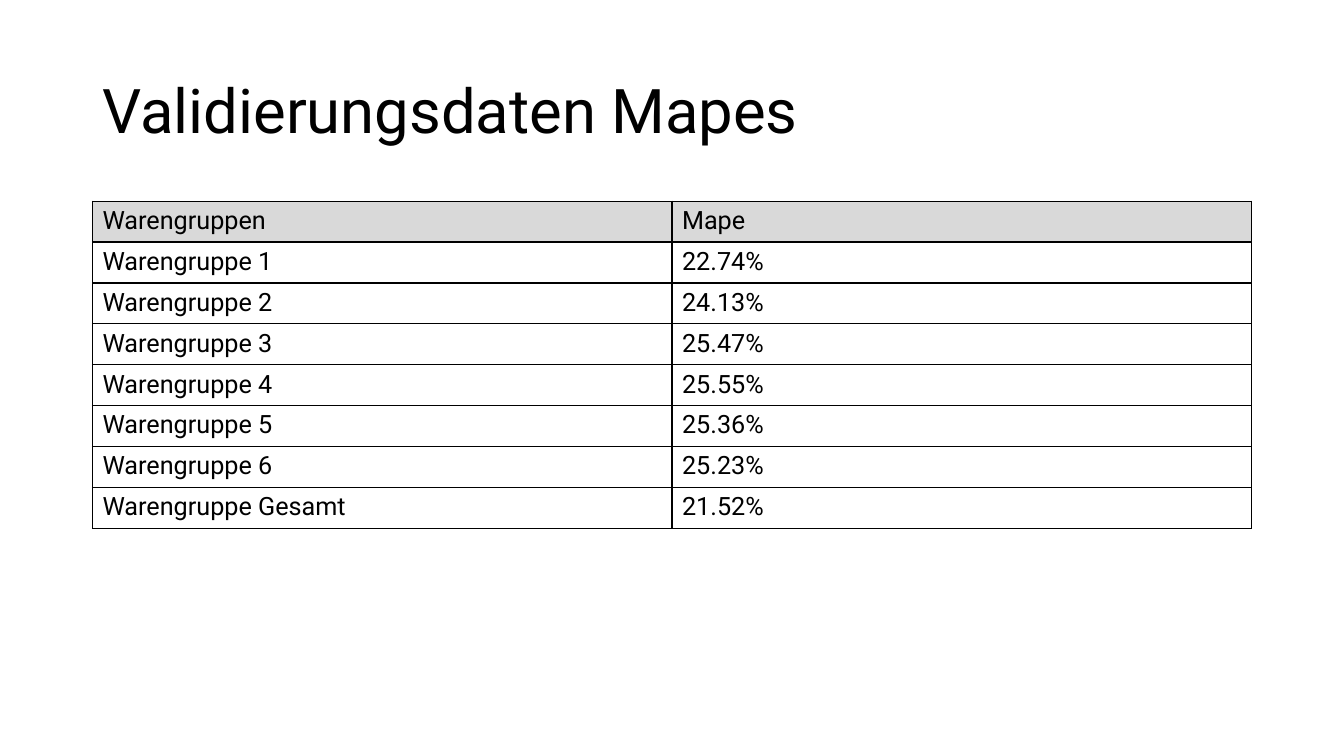
from dataclasses import dataclass

from lxml import etree
from pptx import Presentation
from pptx.dml.color import RGBColor
from pptx.enum.text import MSO_ANCHOR, PP_ALIGN
from pptx.oxml.ns import qn
from pptx.util import Cm, Pt

LEFT = PP_ALIGN.LEFT
MIDDLE = MSO_ANCHOR.MIDDLE
TITLE_ONLY = 5

# Content
HEADING = "Validierungsdaten Mapes"
MAPES = [
    ("Warengruppen", "Mape"),
    ("Warengruppe 1", "22.74%"),
    ("Warengruppe 2", "24.13%"),
    ("Warengruppe 3", "25.47%"),
    ("Warengruppe 4", "25.55%"),
    ("Warengruppe 5", "25.36%"),
    ("Warengruppe 6", "25.23%"),
    ("Warengruppe Gesamt", "21.52%"),
]


@dataclass(frozen=True)
class Theme:
    font: str = "Roboto"
    ink: str = "000000"
    header_fill: str = "D9D9D9"
    heading_size: int = 44
    table_size: int = 18
    border_width: int = 1


THEME = Theme()

# Layout
MARGIN, CONTENT_WIDTH = Cm(2.33), Cm(29.21)
HEADING_TOP, HEADING_HEIGHT = Cm(1.01), Cm(3.68)
TABLE_TOP, ROW_HEIGHT = Cm(5.07), Cm(1.03)


def write(frame, text, size, spacing=None):
    paragraph = frame.paragraphs[0]
    paragraph.alignment = LEFT
    paragraph.line_spacing = spacing
    run = paragraph.add_run()
    run.text = text
    run.font.name = THEME.font
    run.font.size = Pt(size)
    run.font.color.rgb = RGBColor.from_string(THEME.ink)


def add_borders(cell):
    properties = cell._tc.get_or_add_tcPr()
    for position, side in enumerate(("a:lnL", "a:lnR", "a:lnT", "a:lnB")):
        line = etree.Element(qn(side), w=str(Pt(THEME.border_width)))
        fill = etree.SubElement(line, qn("a:solidFill"))
        etree.SubElement(fill, qn("a:srgbClr"), val=THEME.ink)
        properties.insert(position, line)


def main():
    prs = Presentation()
    prs.slide_width, prs.slide_height = Cm(33.87), Cm(19.05)
    slide = prs.slides.add_slide(prs.slide_layouts[TITLE_ONLY])

    # Heading
    heading = slide.shapes.title
    heading.left, heading.top = MARGIN, HEADING_TOP
    heading.width, heading.height = CONTENT_WIDTH, HEADING_HEIGHT
    heading.text_frame.vertical_anchor = MIDDLE
    write(heading.text_frame, HEADING, THEME.heading_size, spacing=0.9)

    # Table of Mape values per product group
    mapes = slide.shapes.add_table(
        len(MAPES), len(MAPES[0]), MARGIN, TABLE_TOP,
        CONTENT_WIDTH, ROW_HEIGHT * len(MAPES)).table
    mapes.horz_banding = False
    mapes.first_row = False
    for row, entries in enumerate(MAPES):
        for column, entry in enumerate(entries):
            cell = mapes.cell(row, column)
            if row == 0:
                cell.fill.solid()
                cell.fill.fore_color.rgb = RGBColor.from_string(THEME.header_fill)
            else:
                cell.fill.background()
            add_borders(cell)
            write(cell.text_frame, entry, THEME.table_size)

    prs.save("out.pptx")


if __name__ == "__main__":
    main()
